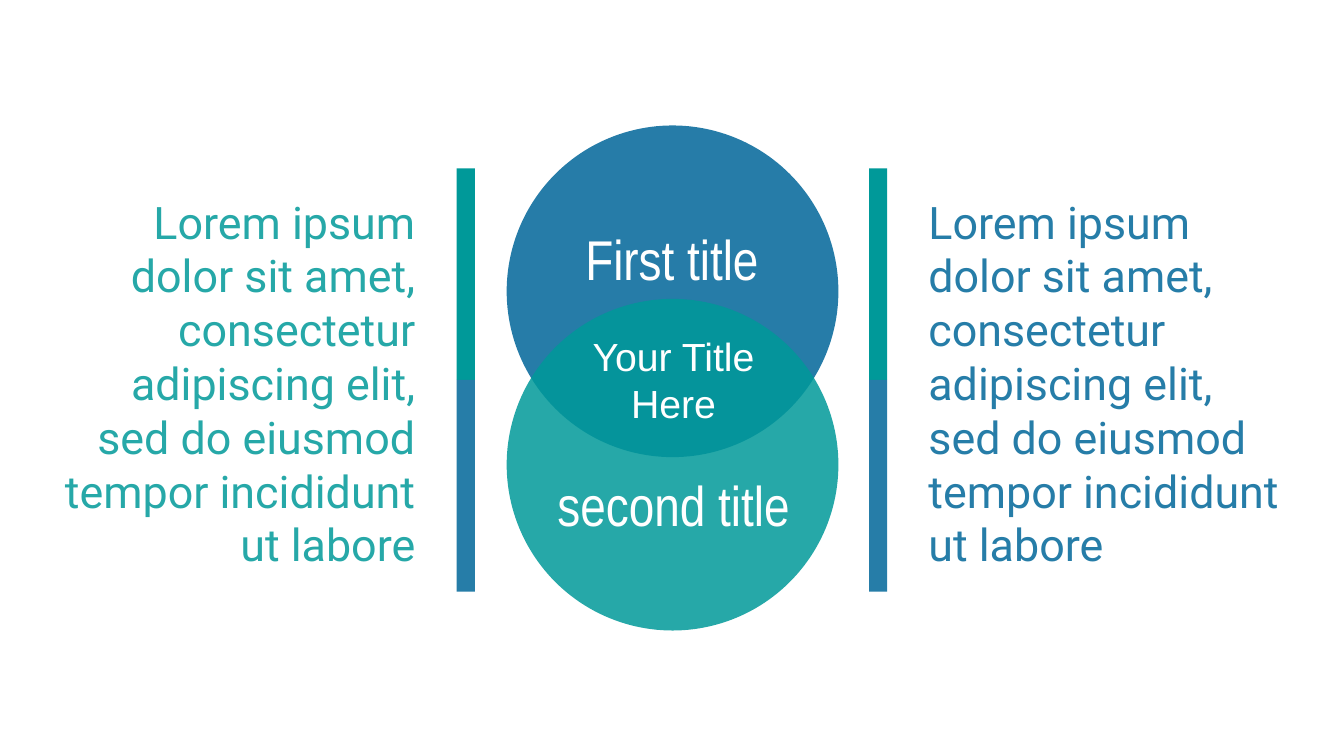
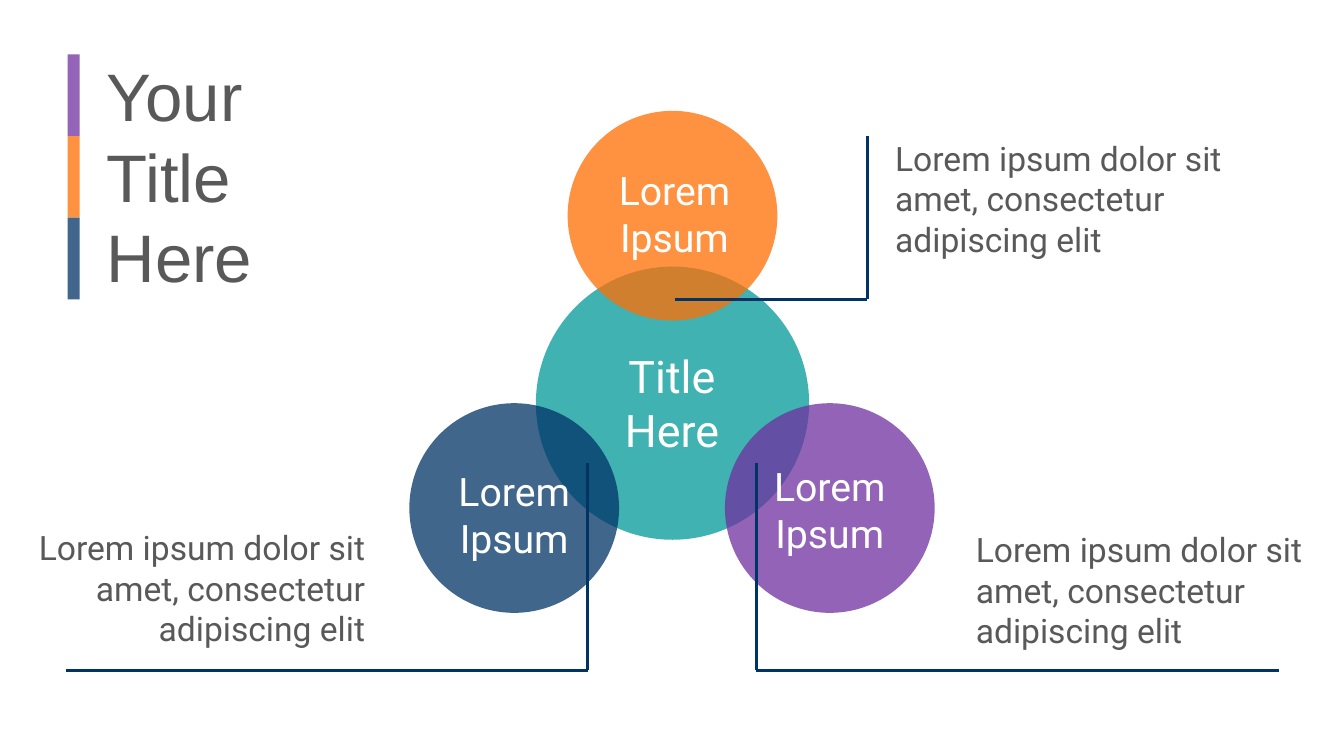
from pptx import Presentation
from pptx import util as u
from pptx.dml.color import RGBColor
from pptx.enum import shapes, text
from pptx.oxml.ns import qn
from lxml import etree

PX = 9144  # 100 px to the inch
WIDE, HIGH = 1333, 750

# Shared look
TEAL, WHITE, GREY, NAVY = "009999", "FFFFFF", "595959", "003366"
SIDES = {"l": text.PP_ALIGN.LEFT, "c": text.PP_ALIGN.CENTER,
         "r": text.PP_ALIGN.RIGHT}
FRAME = {"word_wrap": True, "vertical_anchor": text.MSO_ANCHOR.TOP,
         "auto_size": text.MSO_AUTO_SIZE.SHAPE_TO_FIT_TEXT}

# Style: font, size, colour, alignment
STYLES = {
    "head": ("Arial", 48, GREY, "l"),
    "name": ("Arial Narrow", 40, WHITE, "c"),
    "core": ("Arial", 28, WHITE, "c"),
    "left": ("Roboto", 32, "26A8A8", "r"),
    "right": ("Roboto", 32, "267DA8", "l"),
    "hub": ("Roboto", 32, WHITE, "c"),
    "ring": ("Roboto", 28, WHITE, "c"),
    "note": ("Roboto", 24, GREY, "l"),
    "note_r": ("Roboto", 24, GREY, "r"),
}

SHORT = "Lorem ipsum dolor sit amet, consectetur adipiscing elit"
LONG = SHORT + ", sed do eiusmod tempor incididunt ut labore"
TITLE, RING = "Your Title Here", "Lorem Ipsum"

# Circles: centre x, centre y, diameter, colour
# Bars: left, top, width, height of a part, colours
# Labels: style, words, left, top, width, height
# Paths: points joined by lines
PAIR = ((TEAL, "267DA8"))
SLIDES = [
    {"alpha": 85,
     "circles": [(667, 289, 329, "006699"), (667, 461, 329, TEAL)],
     "bars": [(453, 167, 18, 210, PAIR), (862, 167, 18, 210, PAIR)],
     "labels": [("core", TITLE, 573, 325, 190, 104),
                ("name", "First title", 555, 218, 223, 77),
                ("name", "second title", 531, 462, 274, 77),
                ("left", LONG, 48, 188, 374, 387),
                ("right", LONG, 911, 188, 374, 387)],
     "paths": []},
    {"alpha": 75,
     "circles": [(667, 400, 271, TEAL), (823, 504, 208, "7030A0"),
                 (510, 504, 208, NAVY), (667, 214, 208, "FF6E01")],
     "bars": [(67, 54, 12, 81, ("9464B8", "FF9241", "40668C"))],
     "labels": [("hub", "Title Here", 604, 341, 125, 118),
                ("ring", RING, 750, 454, 146, 104),
                ("ring", RING, 596, 160, 146, 104),
                ("ring", RING, 437, 459, 146, 104),
                ("head", TITLE, 96, 49, 217, 252),
                ("note", SHORT, 878, 132, 391, 131),
                ("note_r", SHORT, -19, 518, 391, 131),
                ("note", SHORT, 958, 520, 391, 131)],
     "paths": [[(669, 297), (860, 297), (860, 135)],
               [(750, 459), (750, 665), (1269, 665)],
               [(583, 459), (583, 665), (65, 665)]]},
]


def emu(*vals):
    return [u.Emu(round(v * PX)) for v in vals]


def rgb(code):
    return RGBColor.from_string(code)


def assign(item, vals):
    for key, val in vals.items():
        setattr(item, key, val)


def block(slide, kind, box, color, alpha=100):
    shape = slide.shapes.add_shape(kind, *emu(*box))
    shape.shadow.inherit = False
    shape.fill.solid()
    shape.fill.fore_color.rgb = rgb(color)
    shape.line.fill.background()
    if alpha < 100:
        clr = shape.fill._xPr.find(qn("a:solidFill"))[0]
        etree.SubElement(clr, qn("a:alpha")).set("val", str(alpha * 1000))


def label(slide, style, words, *box):
    face, size, color, side = STYLES[style]
    frame = slide.shapes.add_textbox(*emu(*box)).text_frame
    assign(frame, FRAME)
    para = frame.paragraphs[0]
    para.alignment = SIDES[side]
    run = para.add_run()
    run.text = words
    assign(run.font, {"name": face, "size": u.Pt(size)})
    run.font.color.rgb = rgb(color)


def trace(slide, points):
    for start, end in zip(points, points[1:]):
        line = slide.shapes.add_connector(
            shapes.MSO_CONNECTOR.STRAIGHT, *emu(*start, *end))
        line.line.width = u.Pt(2.25)
        line.line.color.rgb = rgb(NAVY)
        etree.SubElement(line._element.spPr, qn("a:effectLst"))


def build(deck, data):
    slide = deck.slides.add_slide(deck.slide_layouts[6])
    # Overlapping circles
    for x, y, size, color in data["circles"]:
        block(slide, shapes.MSO_SHAPE.OVAL,
              (x - size / 2, y - size / 2, size, size), color, data["alpha"])
    # Stacked colour bars
    for x, y, wide, high, colors in data["bars"]:
        for i, color in enumerate(colors):
            block(slide, shapes.MSO_SHAPE.RECTANGLE,
                  (x, y + i * high, wide, high), color)
    # Callout lines, then words
    for points in data["paths"]:
        trace(slide, points)
    for item in data["labels"]:
        label(slide, *item)


def main():
    deck = Presentation()
    deck.slide_width, deck.slide_height = emu(WIDE, HIGH)
    for data in SLIDES:
        build(deck, data)
    deck.save("out.pptx")


if __name__ == "__main__":
    main()
